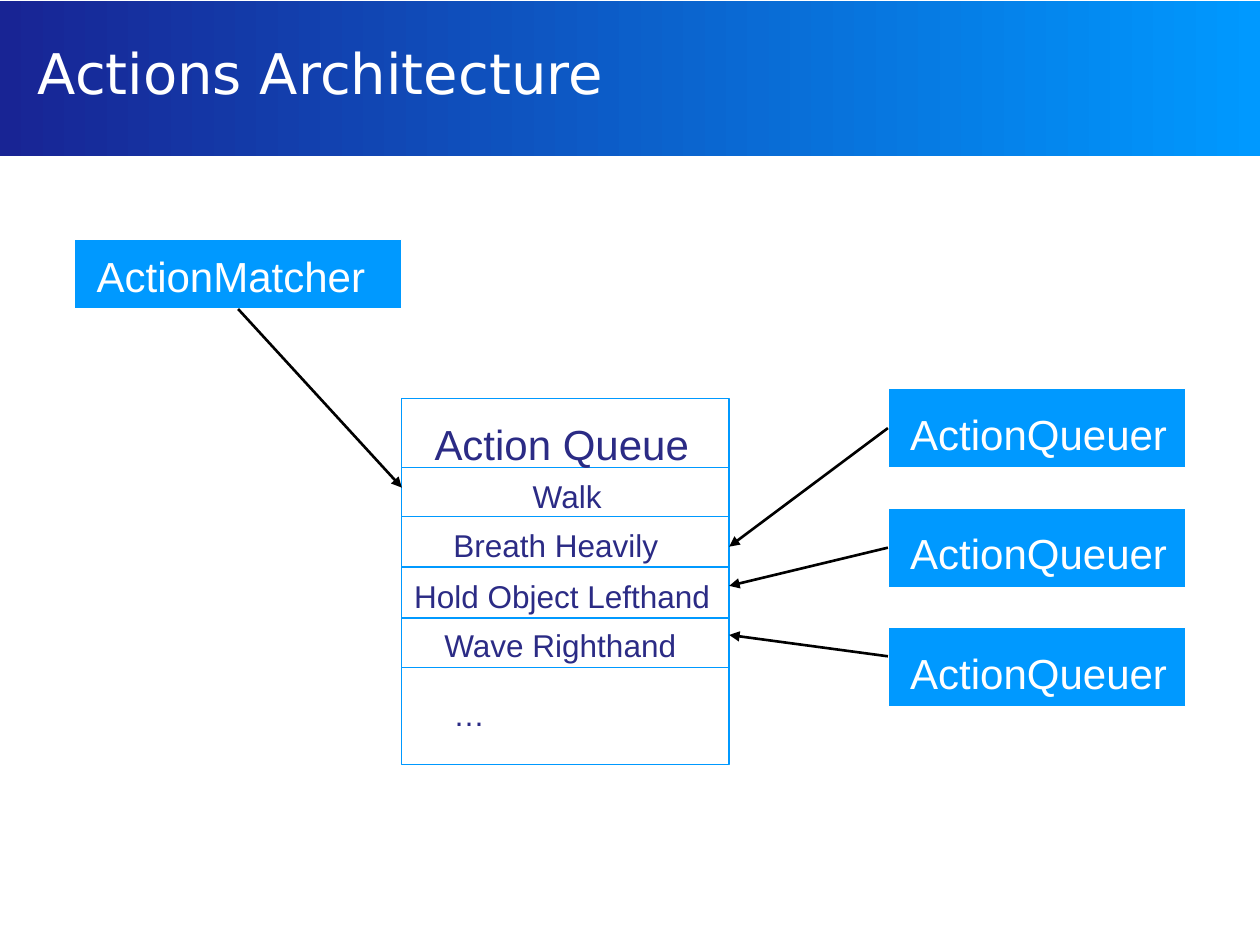
"""Build the Actions Architecture slide."""
import pptx
import pptx.dml.color
import pptx.enum.dml
import pptx.enum.shapes
import pptx.enum.text
import pptx.oxml.ns
import pptx.util
import lxml.etree

Cm = pptx.util.Cm
Pt = pptx.util.Pt
HUES = {"sky": "0099FF", "navy": "182494", "ink": "2B2B85",
        "white": "FFFFFF", "black": "000000"}

TITLE = "Actions Architecture"
HEAD = "Action Queue"
MATCH = "ActionMatcher"
TASKS = [("Walk", 10.49, 9.42, 3.2), ("Breath Heavily", 8.89, 10.41, 4.8),
         ("Wave Righthand", 8.71, 12.42, 5.61), ("…", 8.89, 13.82, 3.81)]
HOLD = "Hold Object Lefthand"
QUEUE_X, QUEUE_W = 8.1, 6.6
FRAMES = [(9.42, 6), (10.42, 1), (12.46, 1), (8.03, 1.39)]
HOLD_ROW = (11.43, 1.02)
QUEUERS = ["ActionQueuer"] * 3
CALL_X, CALL_Y, CALL_W, CALL_H, CALL_STEP = 17.9, 7.83, 6, 1.6, 2.41
CALL_ENDS = [(8.63, 11.02), (11.03, 11.81), (13.23, 12.8)]


def color(name):
    return pptx.dml.color.RGBColor.from_string(HUES[name])


def write(shape, text, size=24, hue="ink", font="Arial", top=0.2, mid=False):
    frame = shape.text_frame
    frame.word_wrap = True
    anchor = pptx.enum.text.MSO_ANCHOR
    frame.vertical_anchor = anchor.MIDDLE if mid else anchor.TOP
    frame.margin_left = frame.margin_right = Cm(0.25)
    frame.margin_top, frame.margin_bottom = Cm(top), Cm(0.13)
    para = frame.paragraphs[0]
    para.alignment = pptx.enum.text.PP_ALIGN.LEFT
    run = para.add_run()
    run.text = text
    run.font.size, run.font.name = Pt(size), font
    run.font.color.rgb = color(hue)


def label(slide, text, x, y, w, h, **form):
    write(slide.shapes.add_textbox(Cm(x), Cm(y), Cm(w), Cm(h)), text, **form)


def rect(slide, x, y, w, h, fill=None, line=None):
    kind = pptx.enum.shapes.MSO_SHAPE.RECTANGLE
    box = slide.shapes.add_shape(kind, Cm(x), Cm(y), Cm(w), Cm(h))
    box.shadow.inherit = False
    if fill:
        box.fill.solid()
        box.fill.fore_color.rgb = color(fill)
    else:
        box.fill.background()
    if line:
        box.line.color.rgb = color(line)
        box.line.width = Pt(0.75)
    else:
        box.line.fill.background()
    return box


def arrow(slide, x, y, end_x, end_y):
    kind = pptx.enum.shapes.MSO_CONNECTOR.STRAIGHT
    link = slide.shapes.add_connector(kind, Cm(x), Cm(y), Cm(end_x), Cm(end_y))
    link.line.color.rgb = color("black")
    link.line.width = Pt(1.5)
    qn = pptx.oxml.ns.qn
    lxml.etree.SubElement(link.line._get_or_add_ln(), qn("a:tailEnd"), type="triangle")
    lxml.etree.SubElement(link._element.spPr, qn("a:effectLst"))
    return link


def banner(slide):
    band = rect(slide, 0, 0.03, 25.4, 3.12)
    band.fill.gradient()
    band.fill.gradient_angle = 0
    for stop, hue, place in zip(band.fill.gradient_stops, ("navy", "sky"), (0, 1)):
        stop.color.rgb = color(hue)
        stop.position = place
    label(slide, TITLE, 0.51, 0, 24.31, 2.92, size=32, hue="white",
          font="DejaVu Sans", top=0.1, mid=True)


def queue(slide):
    for y, h in FRAMES:
        rect(slide, QUEUE_X, y, QUEUE_W, h, line="sky")
    label(slide, HEAD, 8.51, 8.23, 5.79, 1.27)
    for text, x, y, w in TASKS:
        label(slide, text, x, y, w, 1.02, size=18)
    y, h = HOLD_ROW
    write(rect(slide, QUEUE_X, y, QUEUE_W, h, line="sky"), HOLD, size=18)


def callers(slide):
    box = rect(slide, 1.5, 4.83, 6.6, 1.4, fill="sky", line="white")
    label(slide, MATCH, 1.7, 4.85, 6.2, 1.27, hue="white")
    arrow(slide, 4.9, 6.23, QUEUE_X, 9.83).begin_connect(box, 2)
    for i, (text, (start, end)) in enumerate(zip(QUEUERS, CALL_ENDS)):
        y = CALL_Y + i * CALL_STEP
        box = rect(slide, CALL_X, y, CALL_W, CALL_H, fill="sky", line="white")
        label(slide, text, CALL_X + 0.2, y + 0.2, CALL_W, 1.27, hue="white")
        link = arrow(slide, CALL_X, start, QUEUE_X + QUEUE_W, end)
        if abs(start - y - CALL_H / 2) < 0.05:
            link.begin_connect(box, 1)


def main():
    deck = pptx.Presentation()
    deck.slide_width, deck.slide_height = Cm(25.4), Cm(19.05)
    slide = deck.slides.add_slide(deck.slide_layouts[6])
    banner(slide)
    queue(slide)
    callers(slide)
    deck.save("out.pptx")


if __name__ == "__main__":
    main()
